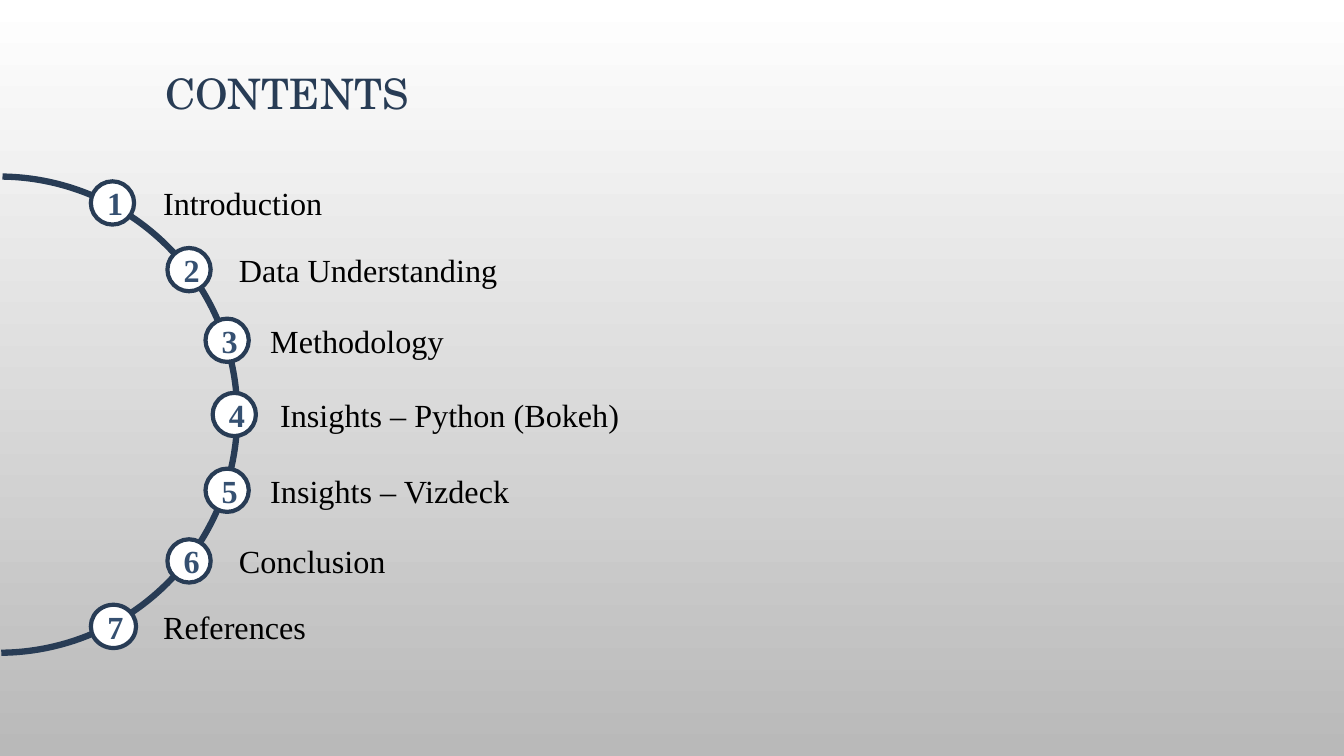
from dataclasses import dataclass

from pptx import Presentation
from pptx.dml.color import RGBColor
from pptx.enum.shapes import MSO_SHAPE
from pptx.enum.text import MSO_ANCHOR, MSO_AUTO_SIZE, PP_ALIGN
from pptx.slide import Slide
from pptx.text.text import Font
from pptx.util import Cm, Pt

COLORS = {
    "navy": "283C55",
    "number": "355071",
    "label": "000000",
    "white": "FFFFFF",
    "grey": "B9B9B9",
}
TITLE_FONT = "TeX Gyre Schola"
BODY_FONT = "Times New Roman"
ARC_SIZE = 12
CIRCLE_SIZE = 1.09
LABEL_HEIGHT = 0.99
LABEL_DROP = 0.05


@dataclass
class Entry:
    """One line of the contents; lengths in centimetres."""
    label: str
    top: float
    circle_left: float
    label_left: float
    label_width: float
    circle_width: float = CIRCLE_SIZE


ENTRIES = [
    Entry("Introduction", 4.57, 2.29, 4.11, 4.04),
    Entry("Data Understanding", 6.25, 4.22, 6.02, 6.58),
    Entry("Methodology", 8.03, 5.18, 6.81, 4.42),
    Entry("Insights – Python (Bokeh)", 9.9, 5.36, 7.06, 8.64),
    Entry("Insights – Vizdeck", 11.81, 5.18, 6.81, 6.2),
    Entry("Conclusion", 13.59, 4.22, 6.02, 3.73),
    Entry("References", 15.24, 2.29, 4.11, 3.66, circle_width=1.14),
]


def color(name: str) -> RGBColor:
    return RGBColor.from_string(COLORS[name])


def style_font(font: Font, name: str, size: float, color_name: str, bold: bool = False) -> None:
    font.name = name
    font.size = Pt(size)
    font.bold = bold
    font.color.rgb = color(color_name)


def fill_background(slide: Slide) -> None:
    fill = slide.background.fill
    fill.gradient()
    fill.gradient_angle = 270
    for stop, position, name in zip(fill.gradient_stops, (0, 1), ("white", "grey")):
        stop.position = position
        stop.color.rgb = color(name)


def add_title(slide: Slide, text: str) -> None:
    text_frame = slide.shapes.add_textbox(Cm(3.91), Cm(1.73), Cm(27.41), Cm(1.14)).text_frame
    text_frame.word_wrap = True
    text_frame.text = text
    paragraph = text_frame.paragraphs[0]
    paragraph.line_spacing = 0.9
    style_font(paragraph.runs[0].font, TITLE_FONT, 30, "navy")


def add_arc(slide: Slide) -> None:
    """Draw the half circle that carries the numbers."""
    arc = slide.shapes.add_shape(MSO_SHAPE.ARC, Cm(-6.02), Cm(4.45), Cm(ARC_SIZE), Cm(ARC_SIZE))
    arc.adjustments[0] = 162.48
    arc.adjustments[1] = 53.7
    arc.shadow.inherit = False
    arc.fill.background()
    arc.line.color.rgb = color("navy")
    arc.line.width = Pt(4.5)


def add_label(slide: Slide, entry: Entry) -> None:
    text_frame = slide.shapes.add_textbox(
        Cm(entry.label_left), Cm(entry.top + LABEL_DROP), Cm(entry.label_width), Cm(LABEL_HEIGHT)
    ).text_frame
    text_frame.margin_left = text_frame.margin_right = 0
    text_frame.margin_top = text_frame.margin_bottom = 0
    text_frame.word_wrap = False
    text_frame.auto_size = MSO_AUTO_SIZE.SHAPE_TO_FIT_TEXT
    text_frame.vertical_anchor = MSO_ANCHOR.MIDDLE
    text_frame.text = entry.label
    style_font(text_frame.paragraphs[0].runs[0].font, BODY_FONT, 23, "label")


def add_number(slide: Slide, entry: Entry, number: int) -> None:
    circle = slide.shapes.add_shape(
        MSO_SHAPE.OVAL, Cm(entry.circle_left), Cm(entry.top), Cm(entry.circle_width), Cm(CIRCLE_SIZE)
    )
    circle.shadow.inherit = False
    circle.fill.solid()
    circle.fill.fore_color.rgb = color("white")
    circle.line.color.rgb = color("navy")
    circle.line.width = Pt(3)
    circle.text_frame.text = str(number)
    circle.text_frame.vertical_anchor = MSO_ANCHOR.MIDDLE
    paragraph = circle.text_frame.paragraphs[0]
    paragraph.alignment = PP_ALIGN.CENTER
    style_font(paragraph.runs[0].font, BODY_FONT, 23, "number", bold=True)


def main() -> None:
    presentation = Presentation()
    presentation.slide_width = Cm(33.87)
    presentation.slide_height = Cm(19.05)
    slide = presentation.slides.add_slide(presentation.slide_layouts[6])
    fill_background(slide)
    add_title(slide, "CONTENTS")
    add_arc(slide)
    for entry in ENTRIES:
        add_label(slide, entry)
    for number, entry in enumerate(ENTRIES, start=1):
        add_number(slide, entry, number)
    presentation.save("out.pptx")


if __name__ == "__main__":
    main()
